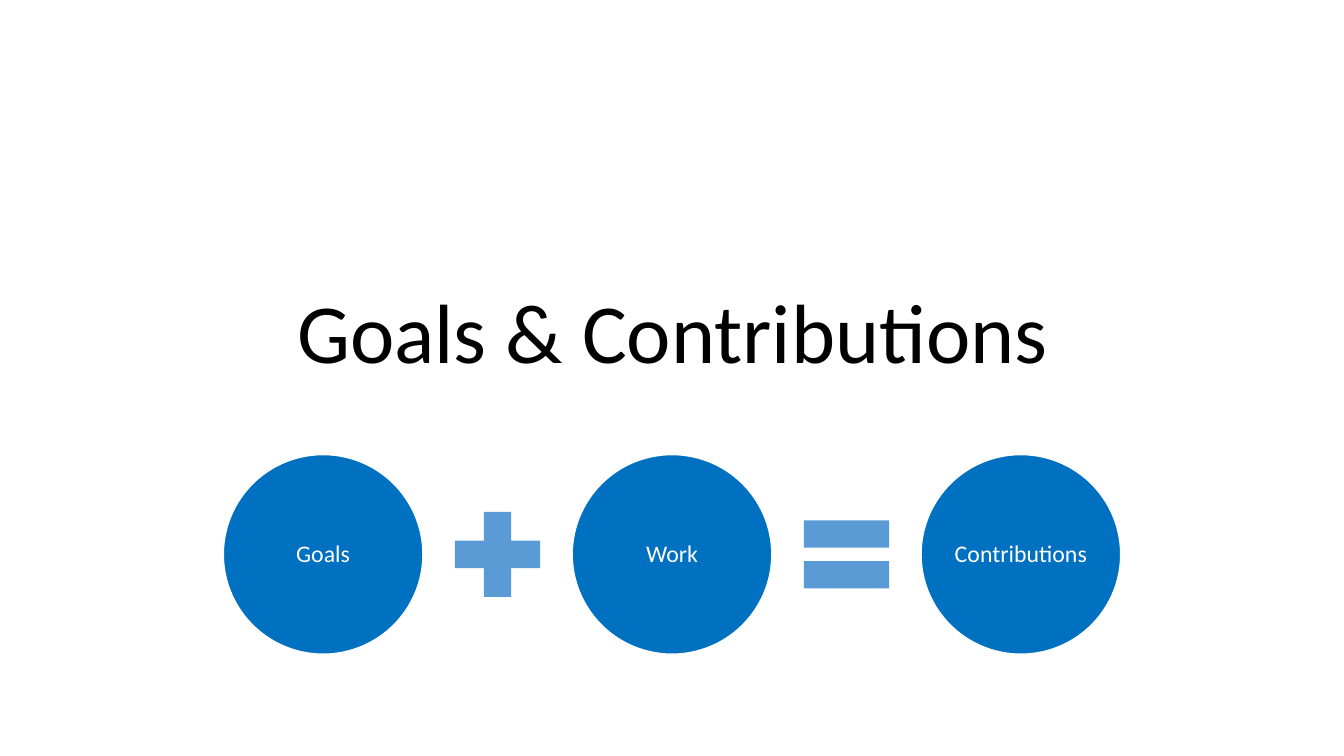
from pptx import Presentation
from pptx.dml.color import RGBColor
from pptx.enum.shapes import MSO_SHAPE
from pptx.enum.text import MSO_ANCHOR, PP_ALIGN
from pptx.util import Inches, Pt

CIRCLE, PLUS, EQUAL = MSO_SHAPE.OVAL, MSO_SHAPE.MATH_PLUS, MSO_SHAPE.MATH_EQUAL
CENTER, MIDDLE, BOTTOM = PP_ALIGN.CENTER, MSO_ANCHOR.MIDDLE, MSO_ANCHOR.BOTTOM

TITLE = "Goals & Contributions"
EQUATION = [
    (CIRCLE, "Goals"),
    (PLUS, ""),
    (CIRCLE, "Work"),
    (EQUAL, ""),
    (CIRCLE, "Contributions"),
]
COLORS = {"term": "0070C0", "operator": "5B9BD5", "white": "FFFFFF", "title": "000000"}
FONT = "Calibri"
SLIDE_WIDTH, SLIDE_HEIGHT = 13.33, 7.5
TERM_SIZE, OPERATOR_SIZE = 1.98, 1.15
EQUATION_Y, STEP = 5.5, 1.73


def color(name):
    return RGBColor.from_string(COLORS[name])


def write(frame, text, size, color_name, anchor):
    frame.text = text
    frame.word_wrap = True
    frame.vertical_anchor = anchor
    paragraph = frame.paragraphs[0]
    paragraph.alignment = CENTER
    paragraph.line_spacing = 0.9
    font = paragraph.runs[0].font
    font.name = FONT
    font.size = Pt(size)
    font.color.rgb = color(color_name)


def add_part(slide, kind, label, center_x):
    size = TERM_SIZE if label else OPERATOR_SIZE
    part = slide.shapes.add_shape(
        kind, Inches(center_x - size / 2), Inches(EQUATION_Y - size / 2),
        Inches(size), Inches(size))
    part.shadow.inherit = False
    part.fill.solid()
    part.fill.fore_color.rgb = color("term" if label else "operator")
    if not label:
        part.line.fill.background()
        return
    part.line.color.rgb = color("white")
    part.line.width = Pt(1)
    frame = part.text_frame
    frame.margin_left = frame.margin_right = Inches(0.02)
    frame.margin_top = frame.margin_bottom = Inches(0.02)
    write(frame, label, 17, "white", MIDDLE)


def main():
    deck = Presentation()
    deck.slide_width, deck.slide_height = Inches(SLIDE_WIDTH), Inches(SLIDE_HEIGHT)
    slide = deck.slides.add_slide(deck.slide_layouts[0])
    subtitle = slide.placeholders[1].element
    subtitle.getparent().remove(subtitle)

    title = slide.shapes.title
    title.left, title.top = Inches(1.67), Inches(1.23)
    title.width, title.height = Inches(10), Inches(2.61)
    write(title.text_frame, TITLE, 60, "title", BOTTOM)

    first_x = SLIDE_WIDTH / 2 - STEP * (len(EQUATION) - 1) / 2
    for index, (kind, label) in enumerate(EQUATION):
        add_part(slide, kind, label, first_x + index * STEP)
    deck.save("out.pptx")


if __name__ == "__main__":
    main()
